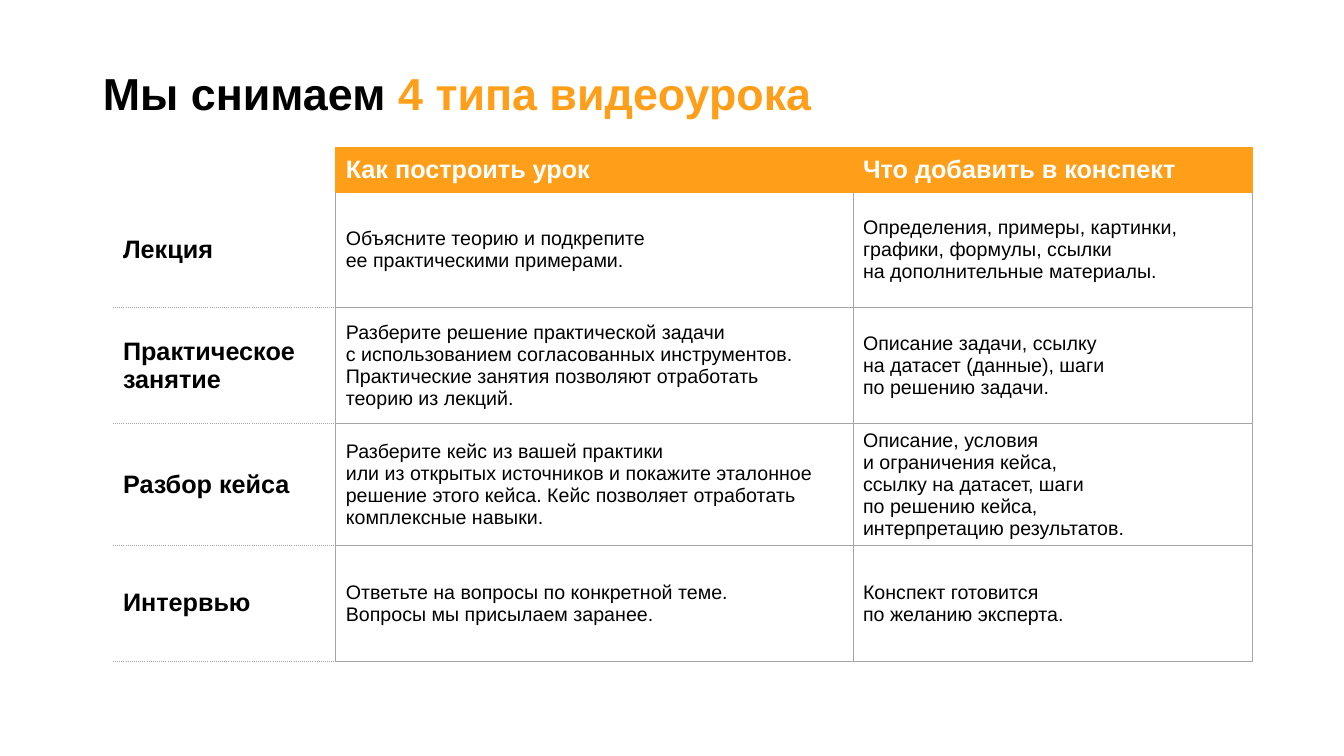
import pptx
import pptx.util
import pptx.dml.color
import pptx.enum.text
import pptx.oxml
import pptx.oxml.ns

COLORS = {"text": "000000", "accent": "FF9F19", "white": "FFFFFF", "line": "A6A6A6"}
FONT = "Arial"
WIDTH, HEIGHT = 13.33, 7.5
UNIT = 0.1  # grid step in inches, for columns and rows alike

HEADERS = ["", "Как построить урок", "Что добавить в конспект"]
LESSONS = [
    ["Лекция",
     "Объясните теорию и подкрепите\nее практическими примерами.",
     "Определения, примеры, картинки, графики, формулы, ссылки\n"
     "на дополнительные материалы."],
    ["Практическое\nзанятие",
     "Разберите решение практической задачи\n"
     "с использованием согласованных инструментов. "
     "Практические занятия позволяют отработать\nтеорию из лекций.",
     "Описание задачи, ссылку\nна датасет (данные), шаги\nпо решению задачи."],
    ["Разбор кейса",
     "Разберите кейс из вашей практики\n"
     "или из открытых источников и покажите эталонное решение этого кейса. "
     "Кейс позволяет отработать комплексные навыки.",
     "Описание, условия\nи ограничения кейса,\nссылку на датасет, шаги\n"
     "по решению кейса,\nинтерпретацию результатов."],
    ["Интервью",
     "Ответьте на вопросы по конкретной теме.\nВопросы мы присылаем заранее.",
     "Конспект готовится\nпо желанию эксперта."],
]
COLUMN_WIDTHS = [22.1, 51.3, 39.6]
ROW_HEIGHTS = [4.5, 11.4, 11.5, 12.1, 11.5]


def grid(steps):
    return pptx.util.Inches(steps * UNIT)


def rgb(name):
    return pptx.dml.color.RGBColor.from_string(COLORS[name])


class SlideBuilder:
    def __init__(self, page):
        self.page = page

    def add_text(self, para, text, size, color, bold):
        """Add text to a paragraph, with a line break at each newline."""
        for index, line in enumerate(text.split("\n")):
            if index:
                para.add_line_break()
            span = para.add_run()
            span.text = line
            span.font.name = FONT
            span.font.size = pptx.util.Pt(size)
            span.font.bold = bold
            span.font.color.rgb = rgb(color)

    def title(self, parts, left, top, width, height):
        box = self.page.shapes.title
        box.left, box.top, box.width, box.height = map(grid, (left, top, width, height))
        frame = box.text_frame
        frame.word_wrap = True
        frame.auto_size = pptx.enum.text.MSO_AUTO_SIZE.NONE
        frame.vertical_anchor = pptx.enum.text.MSO_ANCHOR.MIDDLE
        para = frame.paragraphs[0]
        para.alignment = pptx.enum.text.PP_ALIGN.LEFT
        para.line_spacing = 0.9
        for text, color in parts:
            self.add_text(para, text, 32, color, True)

    def borders(self, cell, sides):
        """Draw the given sides, (color, dash) each, and clear the others."""
        properties = cell._tc.get_or_add_tcPr()
        for side in "LRTB":
            color, dash = sides.get(side, (None, "solid"))
            paint = (f'<a:solidFill><a:srgbClr val="{COLORS[color]}"/></a:solidFill>'
                     if color else "<a:noFill/>")
            properties.append(pptx.oxml.parse_xml(
                f'<a:ln{side} {pptx.oxml.ns.nsdecls("a")} w="{pptx.util.Pt(0.75)}">'
                f'{paint}<a:prstDash val="{dash}"/></a:ln{side}>'))

    def cell(self, cell, text, size, color, bold, sides, fill=None):
        cell.vertical_anchor = pptx.enum.text.MSO_ANCHOR.MIDDLE
        self.borders(cell, sides)
        if fill:
            cell.fill.solid()
            cell.fill.fore_color.rgb = rgb(fill)
        else:
            cell.fill.background()
        if text:
            self.add_text(cell.text_frame.paragraphs[0], text, size, color, bold)

    def table(self, rows, left, top, widths, heights):
        table = self.page.shapes.add_table(
            len(rows), len(widths), grid(left), grid(top),
            grid(sum(widths)), grid(sum(heights))).table
        table.first_row = table.horz_banding = False
        for column, width in zip(table.columns, widths):
            column.width = grid(width)
        for row, height in zip(table.rows, heights):
            row.height = grid(height)

        solid, dotted, orange = ("line", "solid"), ("line", "sysDot"), ("accent", "solid")
        for r, texts in enumerate(rows):
            for c, text in enumerate(texts):
                cell = table.cell(r, c)
                if r == 0:  # header row, with an empty corner
                    sides = dict.fromkeys("LRTB", orange) if c else {"R": orange}
                    self.cell(cell, text, 18, "white", True, sides,
                              "accent" if c else None)
                elif c == 0:  # lesson type
                    sides = {"R": solid, "B": dotted}
                    if r > 1:
                        sides["T"] = dotted
                    self.cell(cell, text, 18, "text", True, sides)
                else:
                    sides = dict.fromkeys("LRTB", solid)
                    if r == 1:
                        sides["T"] = orange
                    self.cell(cell, text, 14, "text", False, sides)


def main():
    deck = pptx.Presentation()
    deck.slide_width = pptx.util.Inches(WIDTH)
    deck.slide_height = pptx.util.Inches(HEIGHT)
    builder = SlideBuilder(deck.slides.add_slide(deck.slide_layouts[5]))

    # Title
    builder.title([("Мы снимаем ", "text"), ("4 типа видеоурока", "accent")],
                  9.2, 6.6, 115, 5.9)
    # Lesson types
    builder.table([HEADERS] + LESSONS, 11.2, 14.6, COLUMN_WIDTHS, ROW_HEIGHTS)

    deck.save("out.pptx")


if __name__ == "__main__":
    main()
